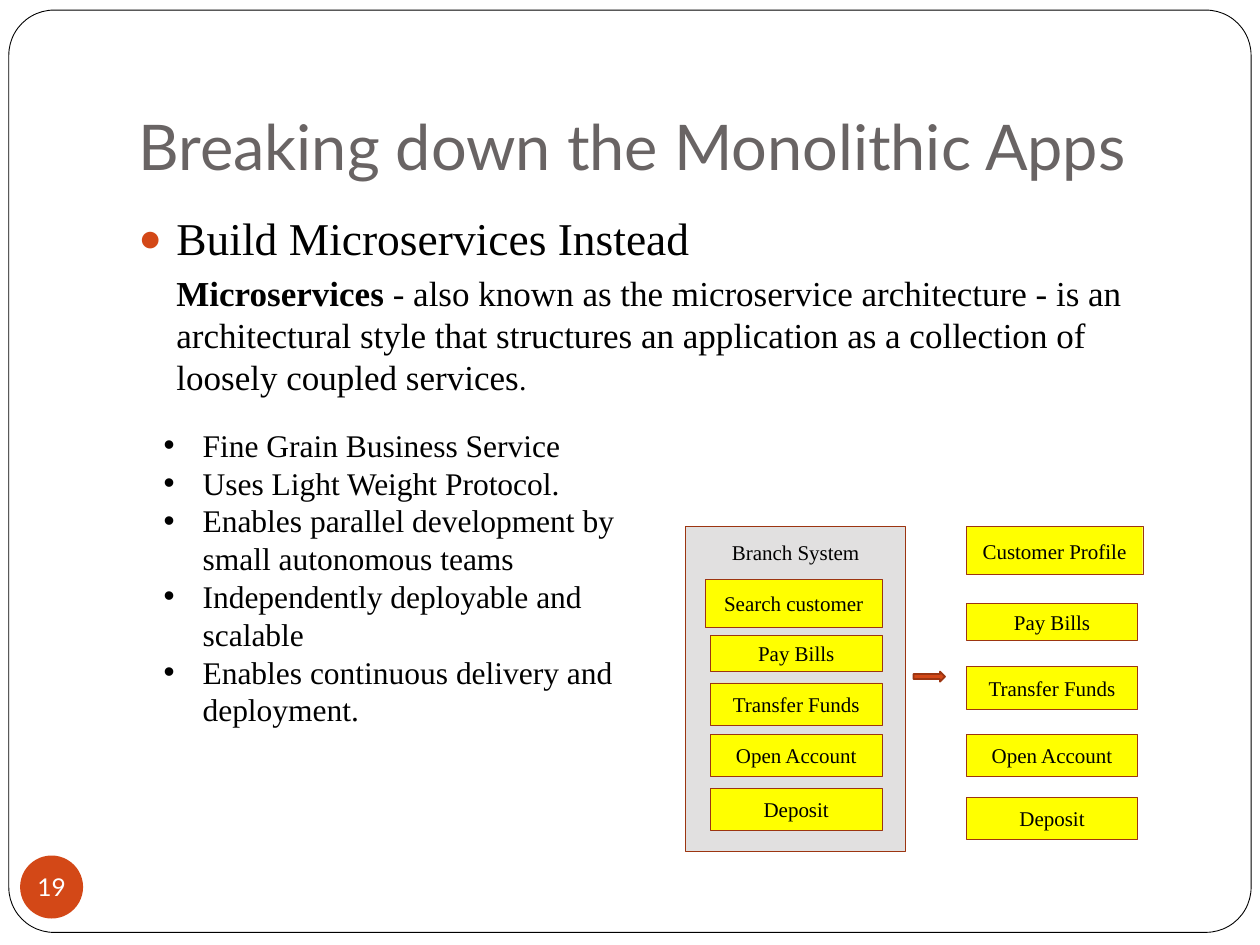
from lxml import etree
from pptx import Presentation
from pptx import util as u
from pptx.dml.color import RGBColor
from pptx.enum import shapes, text
from pptx.oxml import ns

COLORS = {"ink": "000000", "paper": "FFFFFF", "title": "696464", "accent": "D34817",
          "edge": "9C3511", "system": "E1E0E0", "service": "FFFF00"}
SANS, SERIF = "Lato", "Times New Roman"
COLUMNS, ROWS = 100, 75


class SlideBuilder:
    """Style and current slide; lengths are columns and rows of the grid."""

    def __init__(self, deck):
        self.slide = deck.slides.add_slide(deck.slide_layouts[1])
        self.column = deck.slide_width / COLUMNS
        self.row = deck.slide_height / ROWS

    def area(self, left, top, width, height):
        return [u.Emu(round(n * unit)) for n, unit in
                zip((left, top, width, height), (self.column, self.row) * 2)]

    def color(self, name):
        return RGBColor.from_string(COLORS[name])

    def place(self, holder, area):
        for side, length in zip(("left", "top", "width", "height"), self.area(*area)):
            setattr(holder, side, length)
        return holder.text_frame

    def frame(self, frame, **values):
        defaults = {"word_wrap": True, "auto_size": text.MSO_AUTO_SIZE.NONE,
                    "margin_left": u.Inches(0.1), "margin_right": u.Inches(0.1),
                    "margin_top": u.Inches(0.05), "margin_bottom": u.Inches(0.05)}
        for key, value in (defaults | values).items():
            setattr(frame, key, value)

    def bullet(self, paragraph, indent, hang=0, char=None, color="ink", percent=100):
        props = paragraph._p.get_or_add_pPr()
        props.set("marL", str(u.Inches(indent)))
        props.set("indent", str(-u.Inches(hang)))
        if char is None:
            etree.SubElement(props, ns.qn("a:buNone"))
            return
        tint = etree.SubElement(props, ns.qn("a:buClr"))
        etree.SubElement(tint, ns.qn("a:srgbClr"), val=COLORS[color])
        etree.SubElement(props, ns.qn("a:buSzPct"), val=str(percent * 1000))
        etree.SubElement(props, ns.qn("a:buFont"), typeface="Arial")
        etree.SubElement(props, ns.qn("a:buChar"), char=char)

    def words(self, paragraph, wording, size, font=SERIF, color="ink", bold=False):
        run = paragraph.add_run()
        run.text = wording
        for key, value in {"size": u.Pt(size), "name": font, "bold": bold}.items():
            setattr(run.font, key, value)
        run.font.color.rgb = self.color(color)

    def title(self, wording, area):
        frame = self.place(self.slide.shapes.title, area)
        self.frame(frame, vertical_anchor=text.MSO_ANCHOR.BOTTOM, margin_bottom=u.Inches(0.1))
        frame.paragraphs[0].alignment = text.PP_ALIGN.LEFT
        self.words(frame.paragraphs[0], wording, 36, SANS, "title")

    def body(self, heading, definition, area):
        frame = self.place(self.slide.placeholders[1], area)
        self.frame(frame, vertical_anchor=text.MSO_ANCHOR.TOP, margin_top=u.Inches(0.09))
        first, second = frame.paragraphs[0], frame.add_paragraph()
        first.space_before, second.space_before = u.Pt(0), u.Pt(3.7)
        second.level = 1
        self.bullet(first, 0.3, 0.3, "●", "accent", 85)
        self.bullet(second, 0.3)
        self.words(first, heading, 26)
        for wording, size, bold in definition:
            self.words(second, wording, size, bold=bold)

    def bullets(self, items, area):
        frame = self.slide.shapes.add_textbox(*self.area(*area)).text_frame
        self.frame(frame)
        for number, item in enumerate(items):
            paragraph = frame.add_paragraph() if number else frame.paragraphs[0]
            paragraph.level = 1
            self.bullet(paragraph, 0.81, 0.31, "•")
            self.words(paragraph, item, 18)

    def shape(self, kind, area, fill, line=None, weight=0.25):
        shape = self.slide.shapes.add_shape(kind, *self.area(*area))
        shape.shadow.inherit = False
        shape.fill.solid()
        shape.fill.fore_color.rgb = self.color(fill)
        if line:
            shape.line.color.rgb = self.color(line)
            shape.line.width = u.Pt(weight)
        else:
            shape.line.fill.background()
        return shape

    def label(self, shape, wording, size=12, font=SERIF, color="ink", **values):
        self.frame(shape.text_frame, **({"vertical_anchor": text.MSO_ANCHOR.MIDDLE} | values))
        paragraph = shape.text_frame.paragraphs[0]
        paragraph.alignment = text.PP_ALIGN.CENTER
        self.words(paragraph, wording, size, font, color)

    def box(self, wording, area):
        self.label(self.shape(shapes.MSO_SHAPE.RECTANGLE, area, "service", "edge"), wording)

    def backdrop(self, area):
        panel = self.shape(shapes.MSO_SHAPE.ROUNDED_RECTANGLE, area, "paper", "ink", 0.5)
        panel.adjustments[0] = 0.049
        self.slide.shapes._spTree.insert(2, panel._element)


def main():
    deck = Presentation()
    deck.slide_width, deck.slide_height = u.Inches(10), u.Inches(7.5)
    page = SlideBuilder(deck)

    # Frame, title and page number
    page.backdrop((0.7, 0.8, 98.6, 73.2))
    page.title("Breaking down the Monolithic Apps", (10, 3, 85, 12.5))
    badge = page.shape(shapes.MSO_SHAPE.OVAL, (1.6, 67.9, 5, 5), "accent")
    page.label(badge, "19", 14, SANS, "paper", word_wrap=False, margin_left=0,
               margin_right=0, margin_top=0, margin_bottom=0)

    # Definition and benefits
    page.body("Build Microservices Instead", [
        ("Microservices", 20, True),
        (" - also known as the microservice architecture - is an architectural style "
         "that structures an application as a collection of loosely coupled services", 20, False),
        (".", 17, False)], (10, 15.8, 85, 50))
    page.bullets(["Fine Grain Business Service",
                  "Uses Light Weight Protocol.",
                  "Enables parallel development by small autonomous teams",
                  "Independently deployable and scalable",
                  "Enables continuous delivery and deployment."], (7, 33.3, 45, 22.6))

    # Monolith on the left, separate services on the right
    system = page.shape(shapes.MSO_SHAPE.RECTANGLE, (54.4, 41.8, 17.5, 25.8),
                        "system", "edge", 0.5)
    page.label(system, "Branch System", vertical_anchor=text.MSO_ANCHOR.TOP,
               margin_top=u.Inches(0.1))
    page.box("Search customer", (56, 46, 14, 3.8))
    page.box("Customer Profile", (76.7, 41.8, 14, 3.8))
    for service, inside_top, outside_top, height in [
            ("Pay Bills", 50.4, 47.9, 2.9),
            ("Transfer Funds", 54.2, 52.9, 3.4),
            ("Open Account", 58.3, 58.3, 3.3),
            ("Deposit", 62.6, 63.3, 3.3)]:
        for left, top in ((56.4, inside_top), (76.7, outside_top)):
            page.box(service, (left, top, 13.6, height))
    page.shape(shapes.MSO_SHAPE.RIGHT_ARROW, (72.5, 53.3, 2.5, 0.8), "accent", "edge", 1)

    deck.save("out.pptx")


if __name__ == "__main__":
    main()
